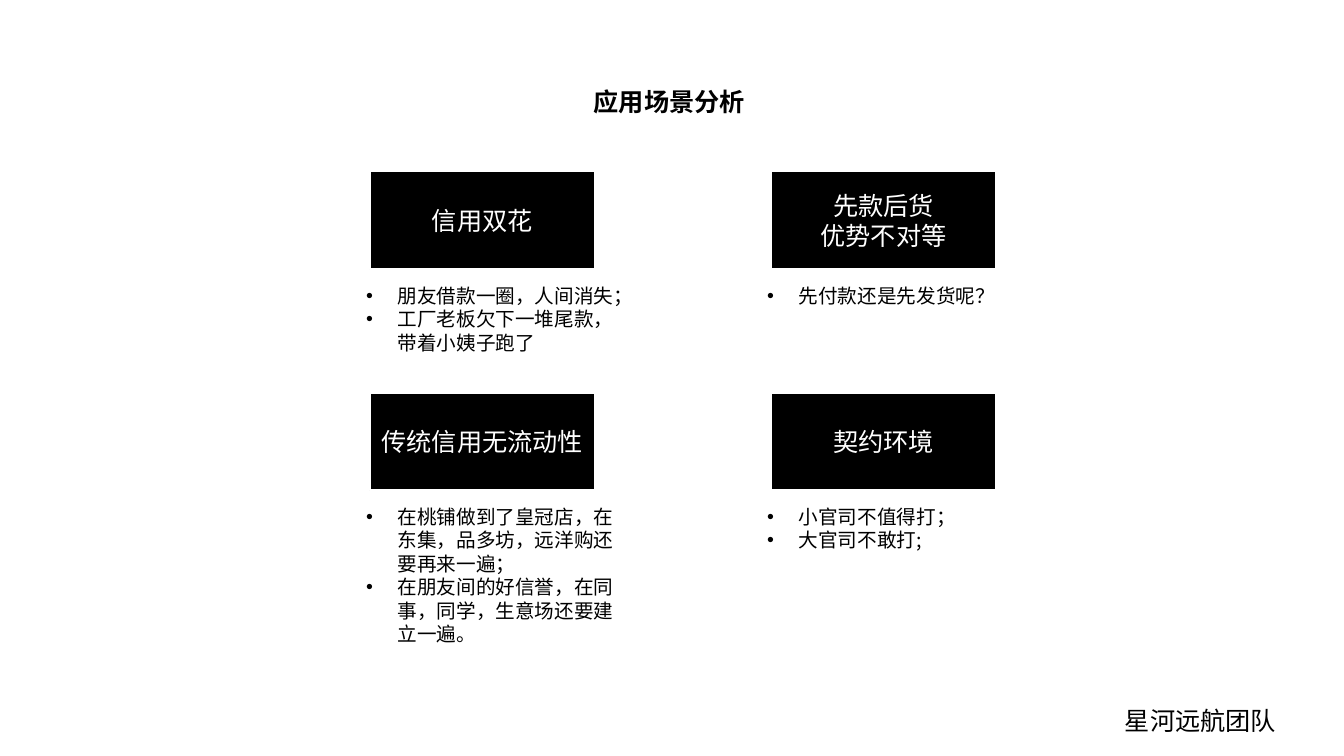
from dataclasses import dataclass
from lxml.etree import SubElement
from pptx import Presentation
from pptx.dml.color import RGBColor
from pptx.enum.shapes import MSO_SHAPE
from pptx.enum.text import MSO_ANCHOR, MSO_AUTO_SIZE, PP_ALIGN
from pptx.oxml.ns import qn
from pptx.util import Pt


@dataclass(frozen=True)
class Theme:
    ink: RGBColor = RGBColor(0, 0, 0)
    paper: RGBColor = RGBColor(255, 255, 255)
    font: str = "Noto Sans CJK SC"
    team_font: str = "Noto Sans CJK JP"
    heading_size: float = 18
    list_size: float = 14
    line_height: float = 17
    indent: float = 22.5


def write_text(frame, lines, *, font, size, color, bold=False,
               align=PP_ALIGN.LEFT, anchor=MSO_ANCHOR.TOP, wrap=True,
               fit=MSO_AUTO_SIZE.NONE, indent=None):
    frame.word_wrap = wrap
    frame.auto_size = fit
    frame.vertical_anchor = anchor
    frame.margin_left = frame.margin_right = Pt(7.2)
    frame.margin_top = frame.margin_bottom = Pt(3.6)
    frame.text = "\n".join(lines)
    for paragraph in frame.paragraphs:
        paragraph.alignment = align
        paragraph.space_before = paragraph.space_after = Pt(0)
        paragraph.line_spacing = 1.0
        for run in paragraph.runs:
            run.font.name = font
            run.font.size = Pt(size)
            run.font.bold = bold
            run.font.color.rgb = color
            SubElement(run.font._element, qn("a:ea"), typeface=font)
        if indent:
            properties = paragraph._p.get_or_add_pPr()
            properties.set("marL", str(Pt(indent)))
            properties.set("indent", str(-Pt(indent)))
            SubElement(properties, qn("a:buFont"), typeface="Arial")
            SubElement(properties, qn("a:buChar"), char="•")


class SlideBuilder:
    def __init__(self, slide, theme):
        self.slide = slide
        self.theme = theme

    def place(self, idx, left, top, width, height):
        holder = self.slide.placeholders[idx]
        holder.left, holder.top = Pt(left), Pt(top)
        holder.width, holder.height = Pt(width), Pt(height)
        return holder.text_frame

    def title(self, text, *bounds):
        write_text(self.place(0, *bounds), [text], font=self.theme.font,
                   size=self.theme.heading_size, color=self.theme.ink,
                   bold=True, wrap=False, fit=MSO_AUTO_SIZE.SHAPE_TO_FIT_TEXT)

    def bullets(self, idx, items, rows, left, top, width):
        height = 7.2 + rows * self.theme.line_height
        write_text(self.place(idx, left, top, width, height), items,
                   font=self.theme.font, size=self.theme.list_size,
                   color=self.theme.ink, indent=self.theme.indent,
                   fit=MSO_AUTO_SIZE.SHAPE_TO_FIT_TEXT)

    def heading_box(self, lines, *bounds):
        box = self.slide.shapes.add_shape(MSO_SHAPE.RECTANGLE, *map(Pt, bounds))
        box.shadow.inherit = False
        box.fill.solid()
        box.fill.fore_color.rgb = self.theme.ink
        box.line.color.rgb = self.theme.paper
        box.line.width = Pt(1.5)
        write_text(box.text_frame, lines, font=self.theme.font,
                   size=self.theme.heading_size, color=self.theme.paper,
                   align=PP_ALIGN.CENTER, anchor=MSO_ANCHOR.MIDDLE)

    def team_name(self, text, *bounds):
        label = self.slide.shapes.add_textbox(*map(Pt, bounds))
        write_text(label.text_frame, [text], font=self.theme.team_font,
                   size=self.theme.heading_size, color=self.theme.ink,
                   align=PP_ALIGN.CENTER, anchor=MSO_ANCHOR.MIDDLE)


SCENARIOS = [
    (["信用双花"],
     ["朋友借款一圈，人间消失；", "工厂老板欠下一堆尾款，带着小姨子跑了"], 3),
    (["先款后货", "优势不对等"], ["先付款还是先发货呢？"], 1),
    (["传统信用无流动性"],
     ["在桃铺做到了皇冠店，在东集，品多坊，远洋购还要再来一遍；",
      "在朋友间的好信誉，在同事，同学，生意场还要建立一遍。"], 6),
    (["契约环境"], ["小官司不值得打；", "大官司不敢打;"], 2),
]
GRID_LEFT, GRID_TOP = 264.25, 122.4
COLUMN_STEP, ROW_STEP = 286.55, 158
BOX_WIDTH, BOX_HEIGHT = 160.55, 69.85
LIST_SHIFT, LIST_DROP, LIST_WIDTH = -10, 76.5, 198.7

presentation = Presentation()
presentation.slide_width, presentation.slide_height = Pt(960), Pt(540)
comparison = presentation.slide_layouts.get_by_name("Comparison")
builder = SlideBuilder(presentation.slides.add_slide(comparison), Theme())

builder.title("应用场景分析", 416.9, 58.3, 123.8, 28.8)
for position, (heading, items, rows) in enumerate(SCENARIOS):
    row, column = divmod(position, 2)
    left = GRID_LEFT + column * COLUMN_STEP
    top = GRID_TOP + row * ROW_STEP
    builder.heading_box(heading, left, top, BOX_WIDTH, BOX_HEIGHT)
    builder.bullets(position + 1, items, rows,
                    left + LIST_SHIFT, top + LIST_DROP, LIST_WIDTH)
builder.team_name("星河远航团队", 781.9, 478.8, 151.2, 72)

presentation.save("out.pptx")
